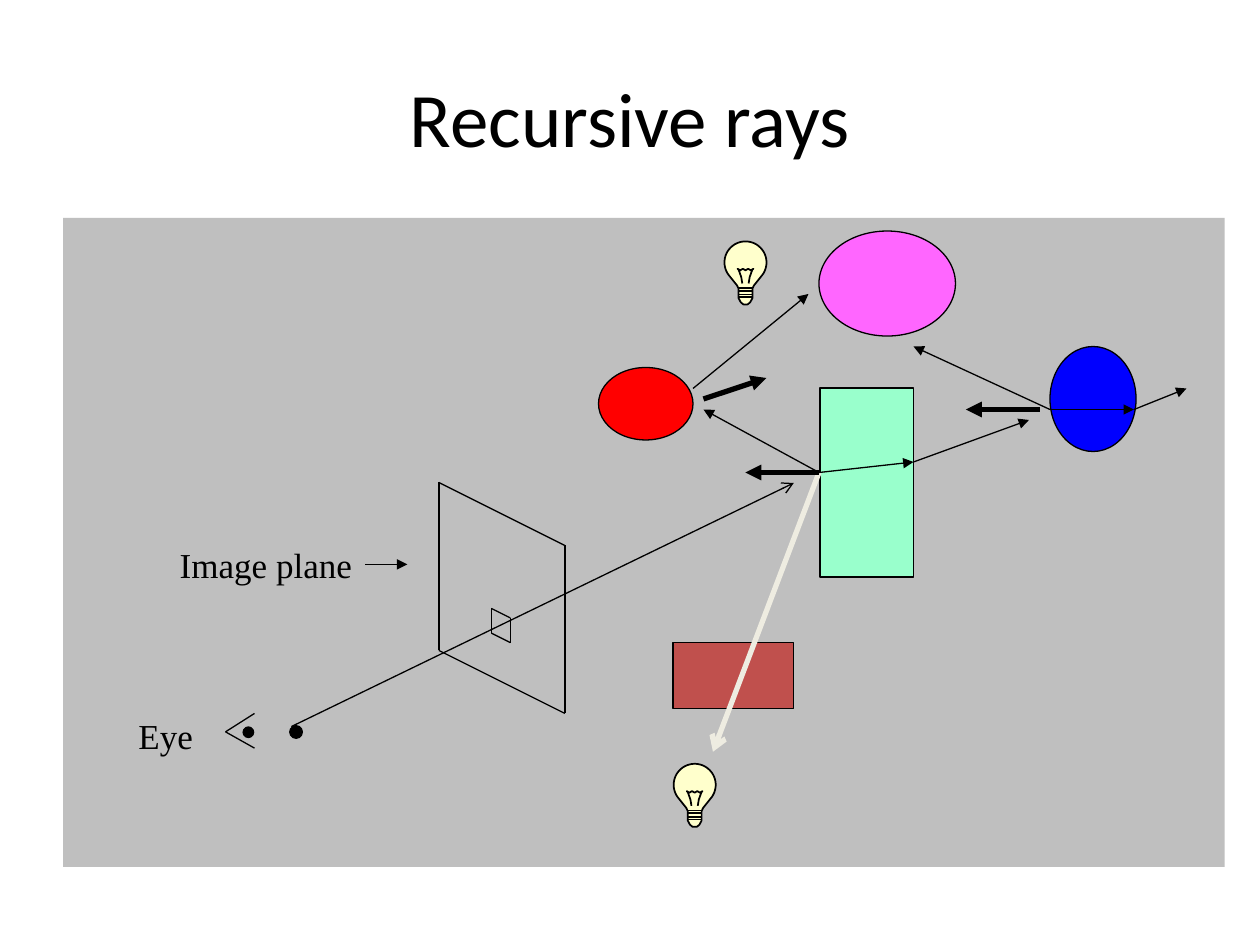
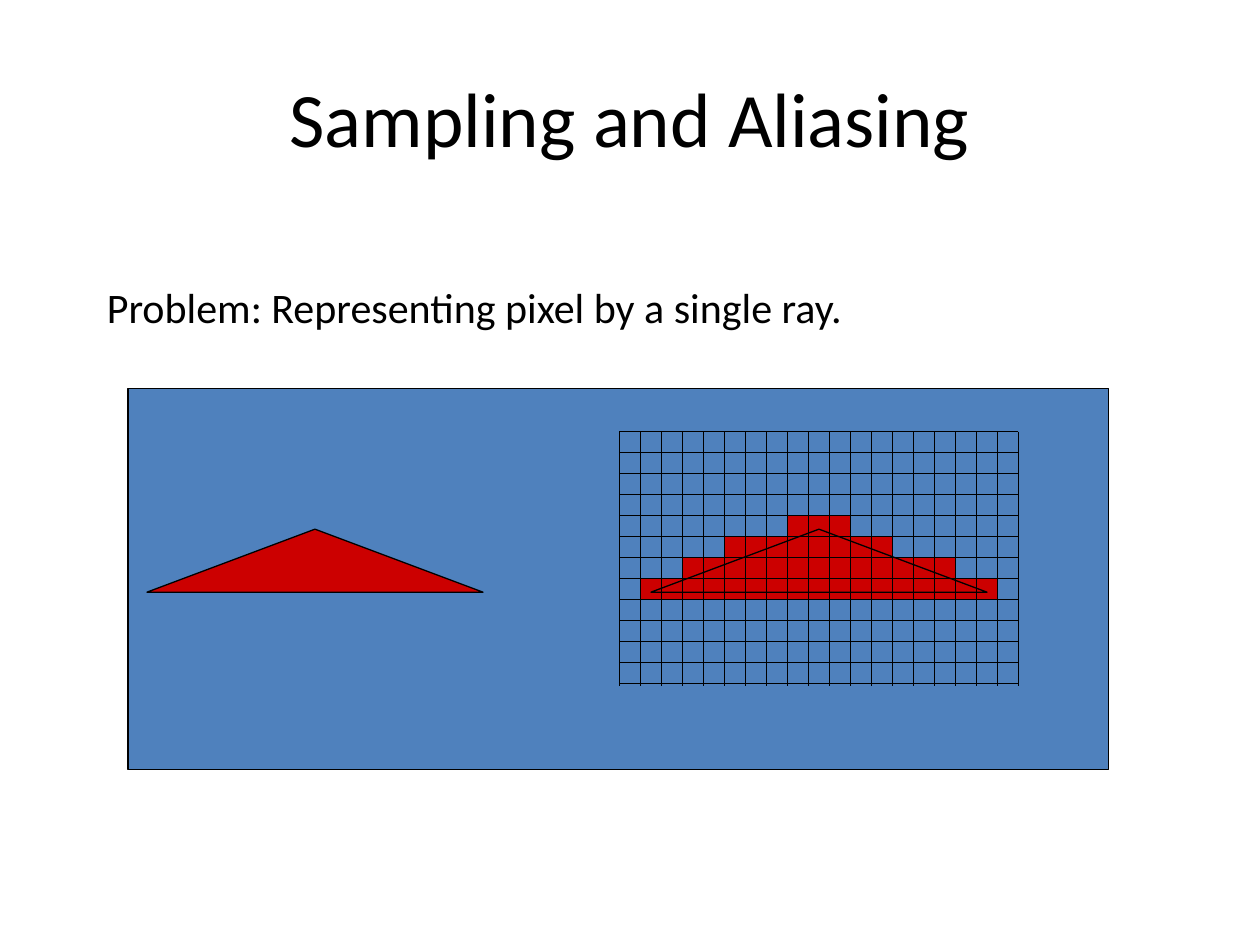
"""Build two ray tracing slides: recursive rays, and sampling with aliasing."""
from dataclasses import dataclass
from math import cos, radians, sin
from typing import Optional

from lxml import etree
from pptx import Presentation
from pptx import util as u
from pptx.dml.color import RGBColor
from pptx.enum import shapes, text
from pptx.oxml import ns

COLUMNS, ROWS = 120, 90
SLIDE_WIDTH, SLIDE_HEIGHT = u.Inches(10), u.Inches(7.5)

BLACK = RGBColor(0x00, 0x00, 0x00)
GREY = RGBColor(0xBF, 0xBF, 0xBF)
BULB_YELLOW = RGBColor(0xFF, 0xFF, 0xCC)
BRICK = RGBColor(0xC0, 0x50, 0x4D)
RED = RGBColor(0xFF, 0x00, 0x00)
MINT = RGBColor(0x99, 0xFF, 0xCC)
BLUE = RGBColor(0x00, 0x00, 0xFF)
PINK = RGBColor(0xFF, 0x66, 0xFF)
IVORY = RGBColor(0xEE, 0xEC, 0xE1)
STEEL = RGBColor(0x4F, 0x81, 0xBD)
CRIMSON = RGBColor(0xCC, 0x00, 0x00)

BODY_FONT, LABEL_FONT = "Calibri", "Times New Roman"
THIN, GRID_LINE, THICK = 0.75, 1, 3
RECTANGLE = shapes.MSO_SHAPE.RECTANGLE
OVAL = shapes.MSO_SHAPE.OVAL
TRIANGLE = shapes.MSO_SHAPE.ISOSCELES_TRIANGLE

Point = tuple[float, float]


@dataclass(frozen=True)
class Solid:
    """A preset shape placed on the grid."""
    kind: shapes.MSO_SHAPE
    column: float
    row: float
    width: float
    height: float
    fill: Optional[RGBColor]
    outline: Optional[RGBColor] = BLACK


@dataclass(frozen=True)
class Ray:
    """A straight line between two grid points."""
    start: Point
    end: Point
    head: Optional[str] = "triangle"
    weight: float = THIN
    color: RGBColor = BLACK


@dataclass(frozen=True)
class Label:
    """One line of text in a box on the grid."""
    words: str
    column: float
    row: float
    width: float
    height: float
    size: int
    font: str = BODY_FONT
    align: text.PP_ALIGN = text.PP_ALIGN.CENTER
    anchor: text.MSO_ANCHOR = text.MSO_ANCHOR.TOP
    side_margin: float = 0


def across(columns: float) -> u.Emu:
    """Turn columns into a length."""
    return u.Emu(round(SLIDE_WIDTH * columns / COLUMNS))


def down(rows: float) -> u.Emu:
    """Turn rows into a length."""
    return u.Emu(round(SLIDE_HEIGHT * rows / ROWS))


def paint(shape, fill: Optional[RGBColor], outline: Optional[RGBColor], weight: float) -> None:
    """Set the fill and outline of a shape and drop its shadow."""
    shape.shadow.inherit = False
    if fill is None:
        shape.fill.background()
    else:
        shape.fill.solid()
        shape.fill.fore_color.rgb = fill
    if outline is None:
        shape.line.fill.background()
    else:
        shape.line.color.rgb = outline
        shape.line.width = u.Pt(weight)


def draw_solid(page, solid: Solid) -> None:
    """Draw a preset shape."""
    shape = page.shapes.add_shape(solid.kind, across(solid.column), down(solid.row),
                                  across(solid.width), down(solid.height))
    paint(shape, solid.fill, solid.outline, THIN)


def draw_ray(page, ray: Ray) -> None:
    """Draw a line with an optional arrowhead."""
    line = page.shapes.add_connector(shapes.MSO_CONNECTOR.STRAIGHT,
                                     across(ray.start[0]), down(ray.start[1]),
                                     across(ray.end[0]), down(ray.end[1]))
    line.line.color.rgb = ray.color
    line.line.width = u.Pt(ray.weight)
    if ray.head:
        etree.SubElement(line.line._get_or_add_ln(), ns.qn("a:tailEnd"), type=ray.head)
    etree.SubElement(line._element.spPr, ns.qn("a:effectLst"))


def draw_label(page, label: Label) -> None:
    """Draw a line of text."""
    box = page.shapes.add_textbox(across(label.column), down(label.row),
                                  across(label.width), down(label.height))
    frame = box.text_frame
    frame.word_wrap = True
    frame.vertical_anchor = label.anchor
    frame.margin_left = frame.margin_right = across(label.side_margin)
    frame.text = label.words
    para = frame.paragraphs[0]
    para.alignment = label.align
    font = para.runs[0].font
    font.name, font.size = label.font, u.Pt(label.size)
    font.color.rgb = BLACK


def draw_strokes(page, strokes: list[list[Point]], fill: Optional[RGBColor], closed: bool) -> None:
    """Draw strokes as one freeform."""
    placed = [[(across(x), down(y)) for x, y in stroke] for stroke in strokes]
    builder = page.shapes.build_freeform(*placed[0][0])
    for index, stroke in enumerate(placed):
        if index:
            builder.move_to(*stroke[0])
        builder.add_line_segments(stroke[1:], close=closed)
    paint(builder.convert_to_shape(), fill, BLACK, GRID_LINE)


def draw_bulb(page, center: float, top: float) -> None:
    """Draw a light bulb from a mirrored half outline."""
    radius = 2
    globe = [(radius * cos(radians(angle)), radius + radius * sin(radians(angle)))
             for angle in range(-90, 36, 5)]
    neck = [(1.2, 3.7), (0.8, 4.2), (0.66, 4.5), (0.66, 5.4), (0.45, 5.8), (0.2, 6)]
    half = globe + neck
    outline = half + [(-x, y) for x, y in reversed(half)]
    wire = [(0.3, 4), (0.4, 3.4), (0.65, 2.7), (0.75, 2.6), (0.5, 2.75), (0.25, 2.6), (0, 2.75)]
    filament = wire + [(-x, y) for x, y in reversed(wire[:-1])]
    threads = [[(-0.66, y), (0.66, y), (0.66, y + 0.25), (-0.66, y + 0.25)] for y in (4.45, 5.05)]

    def place(stroke: list[Point]) -> list[Point]:
        return [(center + x, top + y) for x, y in stroke]

    draw_strokes(page, [place(outline)], BULB_YELLOW, True)
    draw_strokes(page, [place(stroke) for stroke in (filament, *threads)], None, False)


def draw_slanted_frame(page, left: float, top: float, width: float, height: float) -> None:
    """Draw four lines as a pane whose top and bottom fall by half its width."""
    right, drop = left + width, width / 2
    corners = [(left, top), (right, top + drop), (right, top + drop + height), (left, top + height)]
    for start, end in zip(corners, corners[1:] + corners[:1]):
        draw_ray(page, Ray(start, end, head=None))


def add_page(deck, title: str):
    """Add a blank page with the shared title."""
    page = deck.slides.add_slide(deck.slide_layouts[6])
    draw_label(page, Label(title, 6, 3.6, 108, 15, 44, anchor=text.MSO_ANCHOR.MIDDLE))
    return page


def build_recursive_rays(deck) -> None:
    """Draw the scene with its rays."""
    page = add_page(deck, "Recursive rays")
    scene = [
        Solid(RECTANGLE, 6, 20.76, 110.64, 61.8, GREY, None),
        Solid(OVAL, 23.16, 69.24, 1, 1, BLACK),
        Solid(OVAL, 27.6, 69.12, 1.2, 1.2, BLACK),
        Solid(RECTANGLE, 64.1, 61.2, 11.5, 6.3, BRICK),
        Solid(OVAL, 57, 35, 9, 6.9, RED),
        Solid(RECTANGLE, 78.1, 36.95, 8.9, 18, MINT),
        Solid(OVAL, 100, 33, 8.2, 10, BLUE),
        Solid(OVAL, 78, 22, 13, 10, PINK),
    ]
    for solid in scene:
        draw_solid(page, solid)
    for center, top in ((71, 23), (66.16, 72.75)):
        draw_bulb(page, center, top)
    draw_slanted_frame(page, 41.8, 45.95, 12, 16)
    draw_slanted_frame(page, 46.8, 57.95, 1.8, 2.35)

    hit, mint_exit, blue_entry, blue_exit = (78, 45), (87, 44), (100, 39), (108, 39)
    eye_corner = (21.48, 69.7)
    rays = [
        Ray(eye_corner, (24.24, 67.95), None),
        Ray(eye_corner, (24.24, 71.25), None),
        Ray((27.75, 69.2), (75.6, 46), "arrow"),
        Ray((34.8, 53.75), (38.8, 53.75)),
        Ray(hit, (67.9, 71.6), "arrow", THICK, IVORY),
        Ray(hit, (71, 45), weight=THICK),
        Ray(hit, (67, 39)),
        Ray(hit, mint_exit),
        Ray(mint_exit, (98, 40)),
        Ray((66, 37), (77, 28)),
        Ray((67, 38), (73, 36), weight=THICK),
        Ray(blue_entry, blue_exit),
        Ray(blue_entry, (87, 33)),
        Ray((99, 39), (92, 39), weight=THICK),
        Ray(blue_exit, (113, 37)),
    ]
    for ray in rays:
        draw_ray(page, ray)
    draw_label(page, Label("Eye", 11.64, 67.5, 8.28, 5.2, 20, LABEL_FONT))
    draw_label(page, Label("Image plane", 15.84, 51.2, 18.96, 5.2, 20, LABEL_FONT))


def build_sampling(deck) -> None:
    """Draw a triangle beside its sampled pixels."""
    page = add_page(deck, "Sampling and Aliasing")
    draw_label(page, Label("Problem: Representing pixel by a single ray.", 9, 26.2, 102, 6, 24,
                           align=text.PP_ALIGN.LEFT, side_margin=1.2))
    draw_solid(page, Solid(RECTANGLE, 12.2, 37, 93.4, 36.3, STEEL))

    cell, left, top, cells_across, cells_down = 2, 59, 41.1, 19, 12
    right, bottom = left + cell * cells_across, top + cell * cells_down
    sampled_runs = [(8, 3), (5, 8), (3, 13), (1, 17)]
    for row, (first, count) in enumerate(sampled_runs, start=4):
        draw_solid(page, Solid(RECTANGLE, left + cell * first, top + cell * row,
                               cell * count, cell, CRIMSON))
    for index in range(cells_across + 1):
        column = left + cell * index
        draw_ray(page, Ray((column, top), (column, bottom + 0.2), None, GRID_LINE))
    for index in range(cells_down + 1):
        row = top + cell * index
        draw_ray(page, Ray((left, row), (right, row), None, GRID_LINE))
    for column, fill in ((62, None), (14, CRIMSON)):
        draw_solid(page, Solid(TRIANGLE, column, 50.4, 32, 6, fill))


def main() -> None:
    """Build and save the deck."""
    deck = Presentation()
    deck.slide_width, deck.slide_height = SLIDE_WIDTH, SLIDE_HEIGHT
    build_recursive_rays(deck)
    build_sampling(deck)
    deck.save("out.pptx")


if __name__ == "__main__":
    main()
